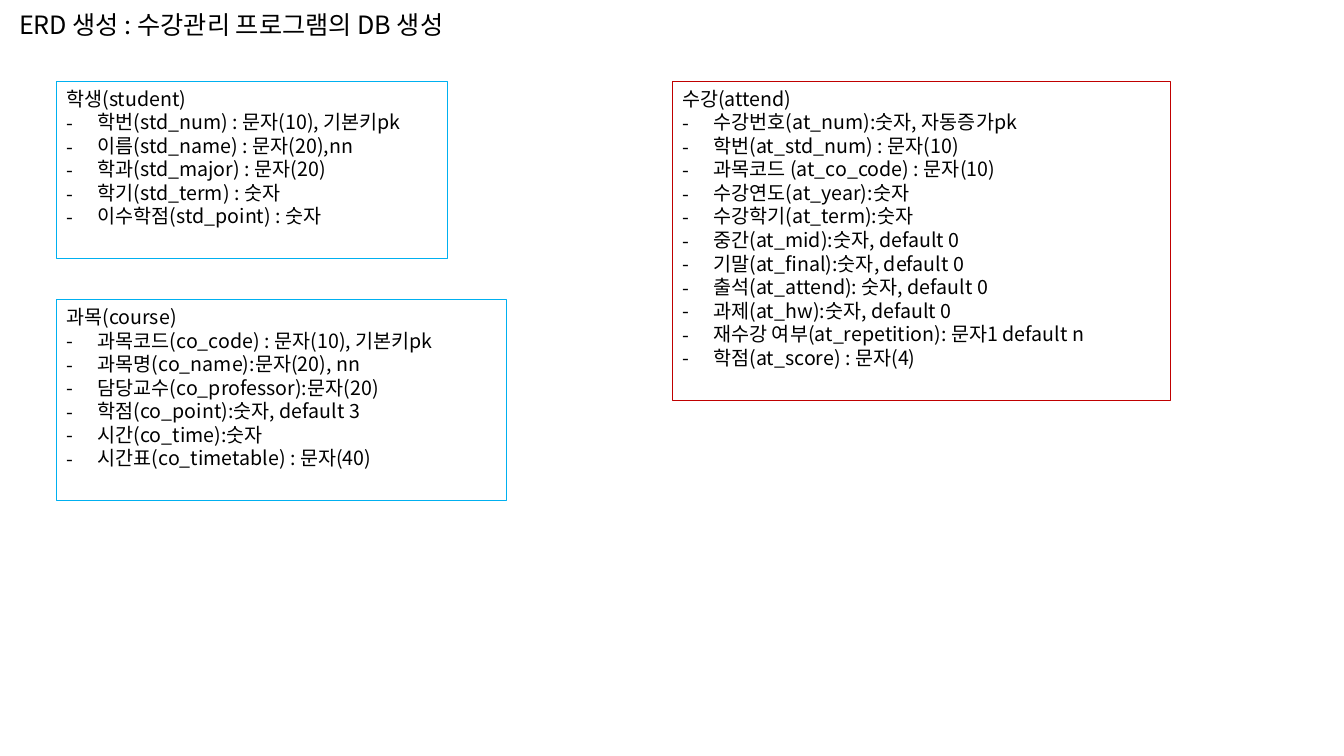
from dataclasses import dataclass

from lxml.etree import SubElement
from pptx import Presentation
from pptx.dml.color import RGBColor
from pptx.enum.shapes import MSO_SHAPE
from pptx.enum.text import MSO_ANCHOR, MSO_AUTO_SIZE, PP_ALIGN
from pptx.oxml.ns import qn
from pptx.util import Cm, Pt


@dataclass(frozen=True)
class Theme:
    font: str = "Noto Sans CJK KR"
    text: RGBColor = RGBColor(0x00, 0x00, 0x00)
    entity: RGBColor = RGBColor(0x00, 0xB0, 0xF0)
    relation: RGBColor = RGBColor(0xC0, 0x00, 0x00)
    title_size: float = 18
    body_size: float = 14
    line_width: float = 0.75
    line_ratio: float = 1.2
    bullet_indent: float = 0.79


THEME = Theme()

TITLE = "ERD 생성 : 수강관리 프로그램의 DB 생성"
TITLE_BOX = (0.23, 0.1, 19.15, 1.02)

TABLES = [
    ((1.42, 2.06, 9.86, 4.45), THEME.entity, "학생(student)", [
        "학번(std_num) : 문자(10), 기본키pk",
        "이름(std_name) : 문자(20),nn",
        "학과(std_major) : 문자(20)",
        "학기(std_term) : 숫자",
        "이수학점(std_point) : 숫자",
    ]),
    ((1.42, 7.56, 11.35, 5.06), THEME.entity, "과목(course)", [
        "과목코드(co_code) : 문자(10), 기본키pk",
        "과목명(co_name):문자(20), nn",
        "담당교수(co_professor):문자(20)",
        "학점(co_point):숫자, default 3",
        "시간(co_time):숫자",
        "시간표(co_timetable) : 문자(40)",
    ]),
    ((16.94, 2.06, 12.55, 8.03), THEME.relation, "수강(attend)", [
        "수강번호(at_num):숫자, 자동증가pk",
        "학번(at_std_num) : 문자(10)",
        "과목코드 (at_co_code) : 문자(10)",
        "수강연도(at_year):숫자",
        "수강학기(at_term):숫자",
        "중간(at_mid):숫자, default 0",
        "기말(at_final):숫자, default 0",
        "출석(at_attend): 숫자, default 0",
        "과제(at_hw):숫자, default 0",
        "재수강 여부(at_repetition): 문자1 default n",
        "학점(at_score) : 문자(4)",
    ]),
]


def apply_format(target, values):
    for name, value in values.items():
        setattr(target, name, value)


def prepare_frame(frame):
    apply_format(frame, {
        "word_wrap": True,
        "auto_size": MSO_AUTO_SIZE.NONE,
        "vertical_anchor": MSO_ANCHOR.TOP,
    })


def write_paragraph(paragraph, text, size):
    apply_format(paragraph, {
        "alignment": PP_ALIGN.LEFT,
        "line_spacing": Pt(size * THEME.line_ratio),
    })
    run = paragraph.add_run()
    run.text = text
    apply_format(run.font, {"name": THEME.font, "size": Pt(size)})
    run.font.color.rgb = THEME.text
    east_asian = SubElement(run.font._element, qn("a:ea"))
    east_asian.set("typeface", THEME.font)


def add_dash(paragraph):
    properties = paragraph._p.get_or_add_pPr()
    indent = Cm(THEME.bullet_indent)
    properties.set("marL", str(indent))
    properties.set("indent", str(-indent))
    SubElement(properties, qn("a:buFont")).set("typeface", THEME.font)
    SubElement(properties, qn("a:buChar")).set("char", "-")


def add_title(slide, box, text):
    frame = slide.shapes.add_textbox(*map(Cm, box)).text_frame
    prepare_frame(frame)
    write_paragraph(frame.paragraphs[0], text, THEME.title_size)


def add_table_definition(slide, box, color, heading, columns):
    shape = slide.shapes.add_shape(MSO_SHAPE.RECTANGLE, *map(Cm, box))
    shape.shadow.inherit = False
    shape.fill.background()
    shape.line.color.rgb = color
    shape.line.width = Pt(THEME.line_width)
    frame = shape.text_frame
    prepare_frame(frame)
    write_paragraph(frame.paragraphs[0], heading, THEME.body_size)
    for column in columns:
        paragraph = frame.add_paragraph()
        write_paragraph(paragraph, column, THEME.body_size)
        add_dash(paragraph)


def main():
    presentation = Presentation()
    apply_format(presentation, {"slide_width": Cm(33.87), "slide_height": Cm(19.05)})
    slide = presentation.slides.add_slide(presentation.slide_layouts[6])
    add_title(slide, TITLE_BOX, TITLE)
    for table in TABLES:
        add_table_definition(slide, *table)
    presentation.save("out.pptx")


if __name__ == "__main__":
    main()
